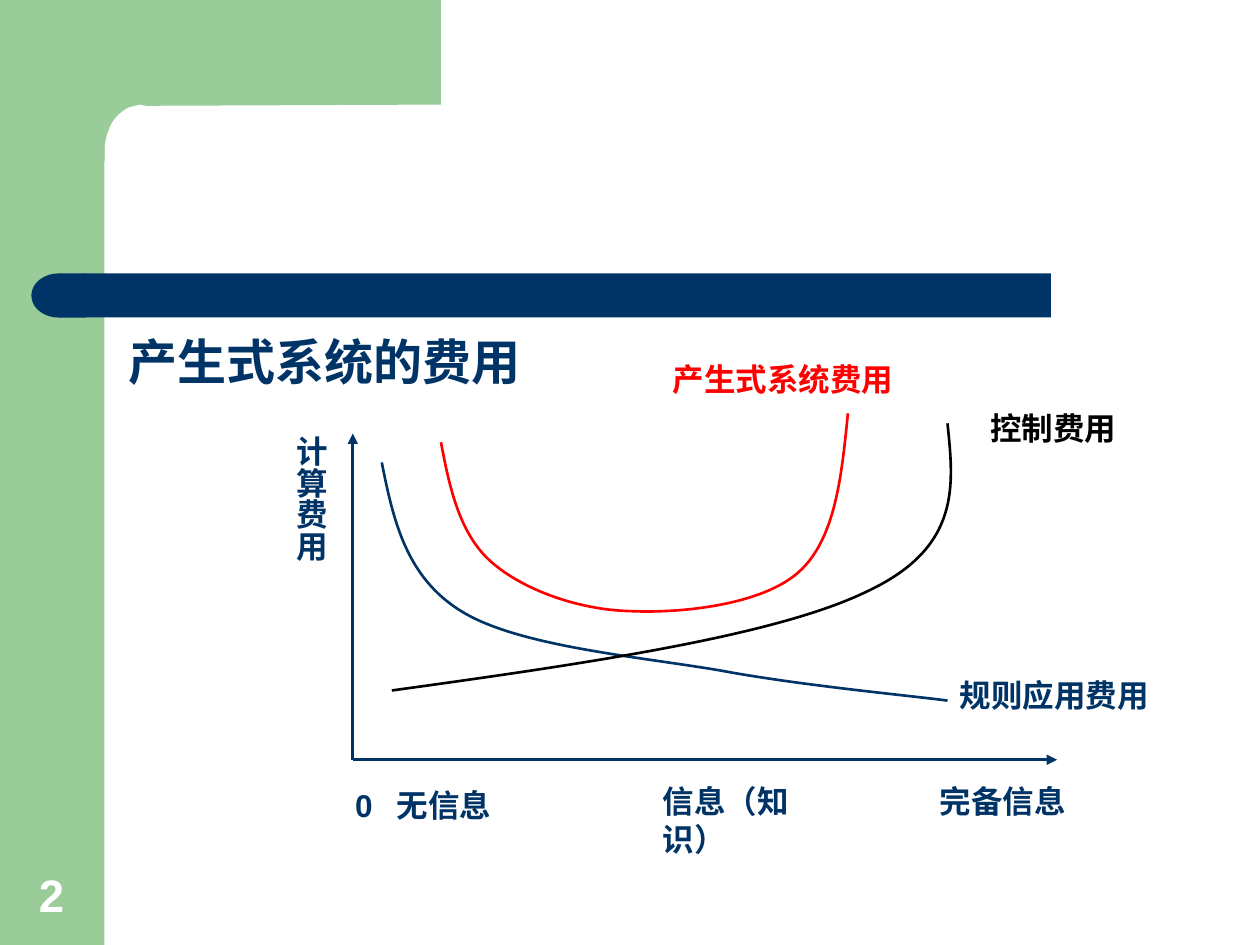
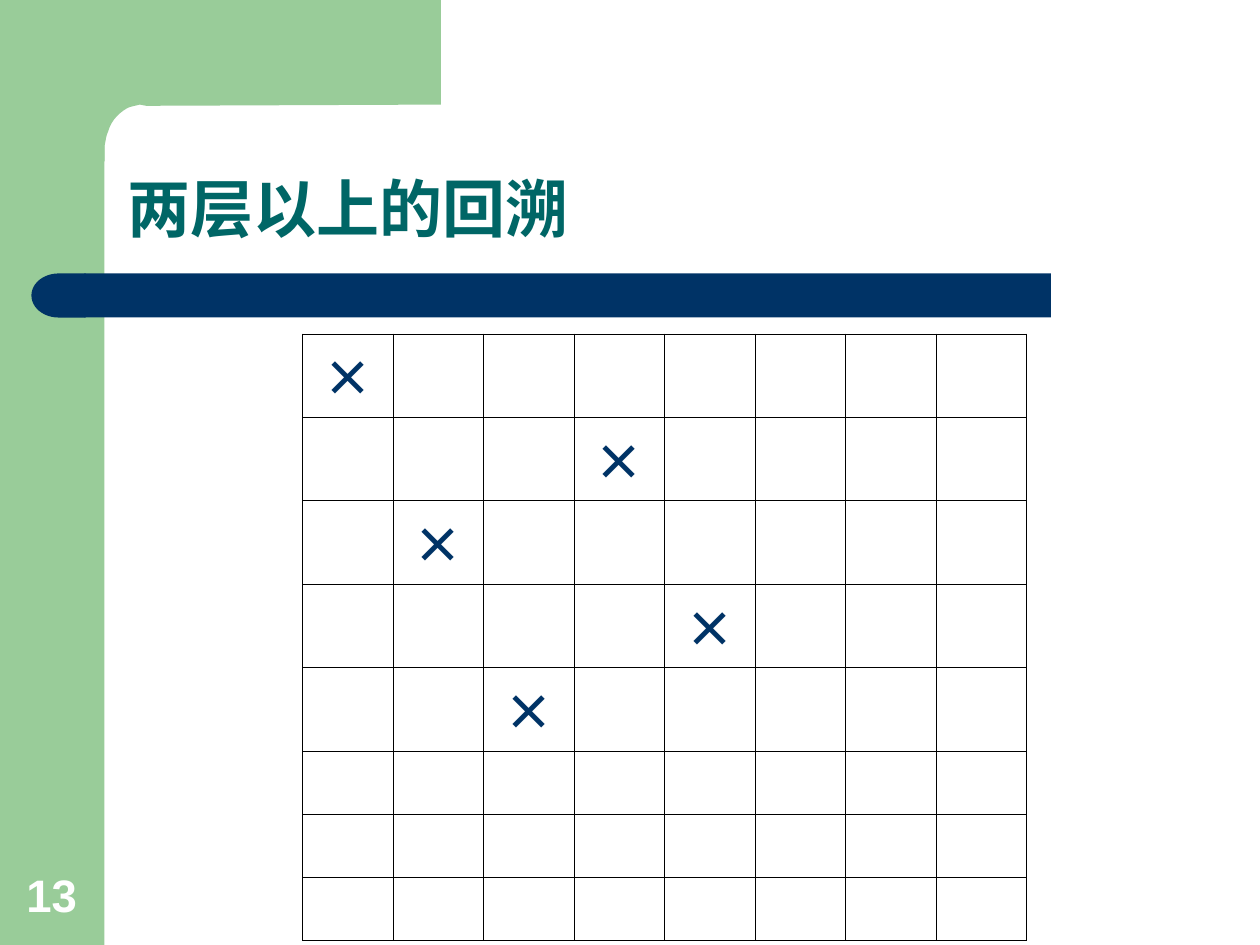
from lxml import etree
from pptx import Presentation
from pptx.dml.color import RGBColor
from pptx.enum import shapes, text
from pptx.oxml.ns import qn
from pptx.util import Inches, Pt

COLORS = {"green": "99CC99", "navy": "003366", "teal": "006666",
          "red": "FF0000", "black": "000000", "white": "FFFFFF"}
FONT, CJK_FONT = "Arial", "Noto Sans CJK SC"
LEFT, CENTER = text.PP_ALIGN.LEFT, text.PP_ALIGN.CENTER
TOP, BOTTOM = text.MSO_ANCHOR.TOP, text.MSO_ANCHOR.BOTTOM


def inches(values):
    return [Inches(value) for value in values]


class Deck:
    """Holds the shared style and the slide being built."""

    def __init__(self):
        self.presentation = Presentation()
        self.presentation.slide_width, self.presentation.slide_height = inches((10, 7.5))
        self.layout = self.presentation.slide_layouts[5]
        for placeholder in list(self.layout.placeholders):
            if placeholder.placeholder_format.idx != 0:
                self.layout.shapes.element.remove(placeholder.element)
        self.slide = None

    def color(self, name):
        return RGBColor.from_string(COLORS[name])

    def add_slide(self, number, title, box, size, color, anchor, spacing=1.0):
        first = self.slide is None
        self.slide = self.presentation.slides.add_slide(self.layout)
        if first:
            self.decorate_layout()
        shape = self.slide.shapes.title
        shape.left, shape.top, shape.width, shape.height = inches(box)
        self.fill_frame(shape.text_frame, title, size, color, LEFT, anchor)
        shape.text_frame.paragraphs[0].line_spacing = spacing
        self.label(str(number), (0.09, 6.83, 0.64, 0.53), "white", 26, CENTER, BOTTOM)

    def decorate_layout(self):
        """Draw the side band and the title bar, then move them to the layout."""
        preset = shapes.MSO_SHAPE
        cap = self.block(preset.FLOWCHART_DELAY, (0.25, 2.17, 0.43, 0.35), "navy")
        cap.element.spPr.xfrm.set("flipH", "1")
        corner = self.outline((3.5, 0), [
            (3.5, 0.83), (1.16, 0.84), (1.11, 0.83), (1.03, 0.85),
            (1, 0.86, 0.96, 0.89, 0.93, 0.92), (0.9, 0.95, 0.87, 1, 0.86, 1.04),
            (0.84, 1.08, 0.84, 1.12, 0.83, 1.16),
            (0.83, 1.28), (0.5, 1.28), (0.5, 0)], fill="green")
        side = self.block(preset.RECTANGLE, (0, 0, 0.83, 7.5), "green")
        bar = self.block(preset.RECTANGLE, (0.67, 2.17, 7.67, 0.35), "navy")
        for shape in (side, corner, bar, cap):
            self.layout.shapes.element.append(shape.element)

    def fill_frame(self, frame, words, size, color, align=LEFT, anchor=TOP):
        frame.word_wrap = True
        frame.auto_size = text.MSO_AUTO_SIZE.NONE
        frame.vertical_anchor = anchor
        self.style_paragraph(frame.paragraphs[0], words, size, color, align)

    def style_paragraph(self, paragraph, words, size, color, align, font_name=FONT):
        paragraph.text = words
        paragraph.alignment = align
        font = paragraph.font
        font.name, font.size, font.bold = font_name, Pt(size), True
        font.color.rgb = self.color(color)
        properties = paragraph._p.pPr.find(qn("a:defRPr"))
        etree.SubElement(properties, qn("a:ea"), typeface=CJK_FONT)

    def label(self, words, box, color="navy", size=18, align=LEFT, anchor=TOP):
        shape = self.slide.shapes.add_textbox(*inches(box))
        self.fill_frame(shape.text_frame, words, size, color, align, anchor)
        return shape

    def vertical_label(self, words, box):
        frame = self.label(words, box).text_frame
        frame.margin_left = frame.margin_right = Inches(0.05)
        frame.margin_top = frame.margin_bottom = Inches(0.1)
        frame._txBody.bodyPr.set("vert", "eaVert")

    def block(self, preset, box, color):
        shape = self.slide.shapes.add_shape(preset, *inches(box))
        shape.shadow.inherit = False
        shape.fill.solid()
        shape.fill.fore_color.rgb = self.color(color)
        shape.line.fill.background()
        return shape

    def outline(self, start, segments, fill=None, line=None):
        """Segments of two numbers are lines, segments of six are Bézier curves."""
        points = [inches(segment[i:i + 2]) for segment in segments
                  for i in range(0, len(segment), 2)]
        builder = self.slide.shapes.build_freeform(*inches(start))
        builder.add_line_segments(points, close=fill is not None)
        shape = builder.convert_to_shape()
        steps = iter(list(shape.element.iter(qn("a:lnTo"))))
        for segment in segments:
            step = next(steps)
            if len(segment) == 6:
                step.tag = qn("a:cubicBezTo")
                for _ in range(2):
                    extra = next(steps)
                    step.append(extra[0])
                    extra.getparent().remove(extra)
        shape.shadow.inherit = False
        if fill:
            shape.fill.solid()
            shape.fill.fore_color.rgb = self.color(fill)
            shape.line.fill.background()
        else:
            shape.fill.background()
            shape.line.color.rgb = self.color(line)
            shape.line.width = Pt(1.5)
        return shape

    def arrow(self, start, end):
        connector = self.slide.shapes.add_connector(
            shapes.MSO_CONNECTOR.STRAIGHT, *inches(start + end))
        connector.line.color.rgb = self.color("navy")
        connector.line.width = Pt(1.5)
        properties = connector.element.spPr
        etree.SubElement(properties.find(qn("a:ln")), qn("a:tailEnd"), type="triangle")
        etree.SubElement(properties, qn("a:effectLst"))

    def board(self, box, row_heights, column_count, marks):
        """A ruled grid with a cross in each (row, column) of marks."""
        frame = self.slide.shapes.add_table(len(row_heights), column_count, *inches(box))
        table = frame.table
        table.first_row = table.horz_banding = False
        for row, height in zip(table.rows, row_heights):
            row.height = Inches(height)
        for cell in table.iter_cells():
            self.rule_cell(cell)
        for row, column in marks:
            paragraph = table.cell(row, column).text_frame.paragraphs[0]
            self.style_paragraph(paragraph, "×", 28, "navy", CENTER, CJK_FONT)

    def rule_cell(self, cell):
        cell.fill.background()
        properties = cell._tc.get_or_add_tcPr()
        for position, side in enumerate(("lnL", "lnR", "lnT", "lnB")):
            border = etree.Element(qn(f"a:{side}"), w=str(Pt(0.45)))
            fill = etree.SubElement(border, qn("a:solidFill"))
            etree.SubElement(fill, qn("a:srgbClr"), val=COLORS["black"])
            properties.insert(position, border)


def add_cost_slide(deck):
    deck.add_slide(2, "产生式系统的费用", (0.92, 2.58, 8.41, 0.7), 28, "navy", TOP)

    # Axes
    origin = (2.8, 6.03)
    deck.arrow(origin, (8.39, 6.03))
    deck.arrow(origin, (2.8, 3.44))
    deck.vertical_label("计算费用", (2.17, 3.36, 0.5, 1.26))
    deck.label("0", (2.72, 6.19, 0.4, 0.4))
    deck.label("无信息", (3.05, 6.19, 1.01, 0.4))
    deck.label("信息（知识）", (5.16, 6.16, 1.65, 0.7))
    deck.label("完备信息", (7.36, 6.16, 1.65, 0.4))

    # Cost curves
    deck.outline((3.03, 3.67), [(3.12, 4.12, 3.22, 4.58, 3.66, 4.85),
                                (4.11, 5.13, 5.06, 5.21, 5.71, 5.32),
                                (6.35, 5.44, 7.22, 5.52, 7.52, 5.56)], line="navy")
    deck.outline((7.52, 3.36), [(7.57, 3.85, 7.63, 4.34, 6.89, 4.69),
                                (6.16, 5.05, 4.63, 5.27, 3.11, 5.48)], line="black")
    deck.outline((3.5, 3.51), [(3.57, 3.88, 3.65, 4.24, 3.9, 4.46),
                               (4.15, 4.68, 4.59, 4.84, 5, 4.85),
                               (5.41, 4.87, 6.05, 4.8, 6.34, 4.54),
                               (6.63, 4.28, 6.68, 3.78, 6.73, 3.28)], line="red")
    deck.label("控制费用", (7.76, 3.2, 1.34, 0.4), "black")
    deck.label("规则应用费用", (7.52, 5.32, 1.81, 0.4))
    deck.label("产生式系统费用", (5.24, 2.81, 2.2, 0.4), "red")


def add_backtracking_slide(deck):
    deck.add_slide(13, "两层以上的回溯", (0.91, 0.91, 8.51, 1.09), 36, "teal", BOTTOM, 0.9)
    queens = [(0, 0), (1, 3), (2, 1), (3, 4), (4, 2)]
    deck.board((2.4, 2.65, 5.75, 4.8), [0.66] * 5 + [0.5] * 3, 8, queens)


def main():
    deck = Deck()
    add_cost_slide(deck)
    add_backtracking_slide(deck)
    deck.presentation.save("out.pptx")


if __name__ == "__main__":
    main()
